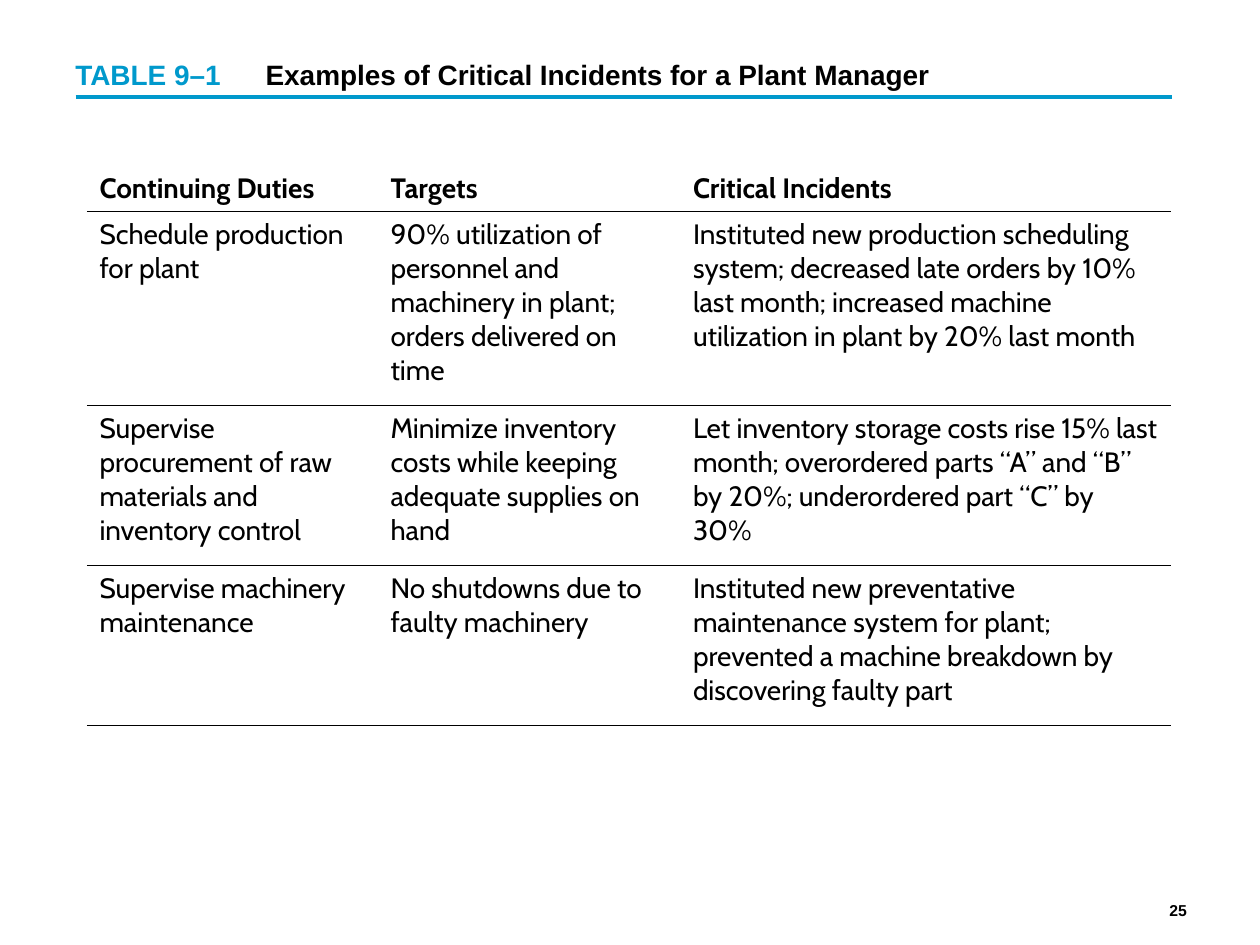
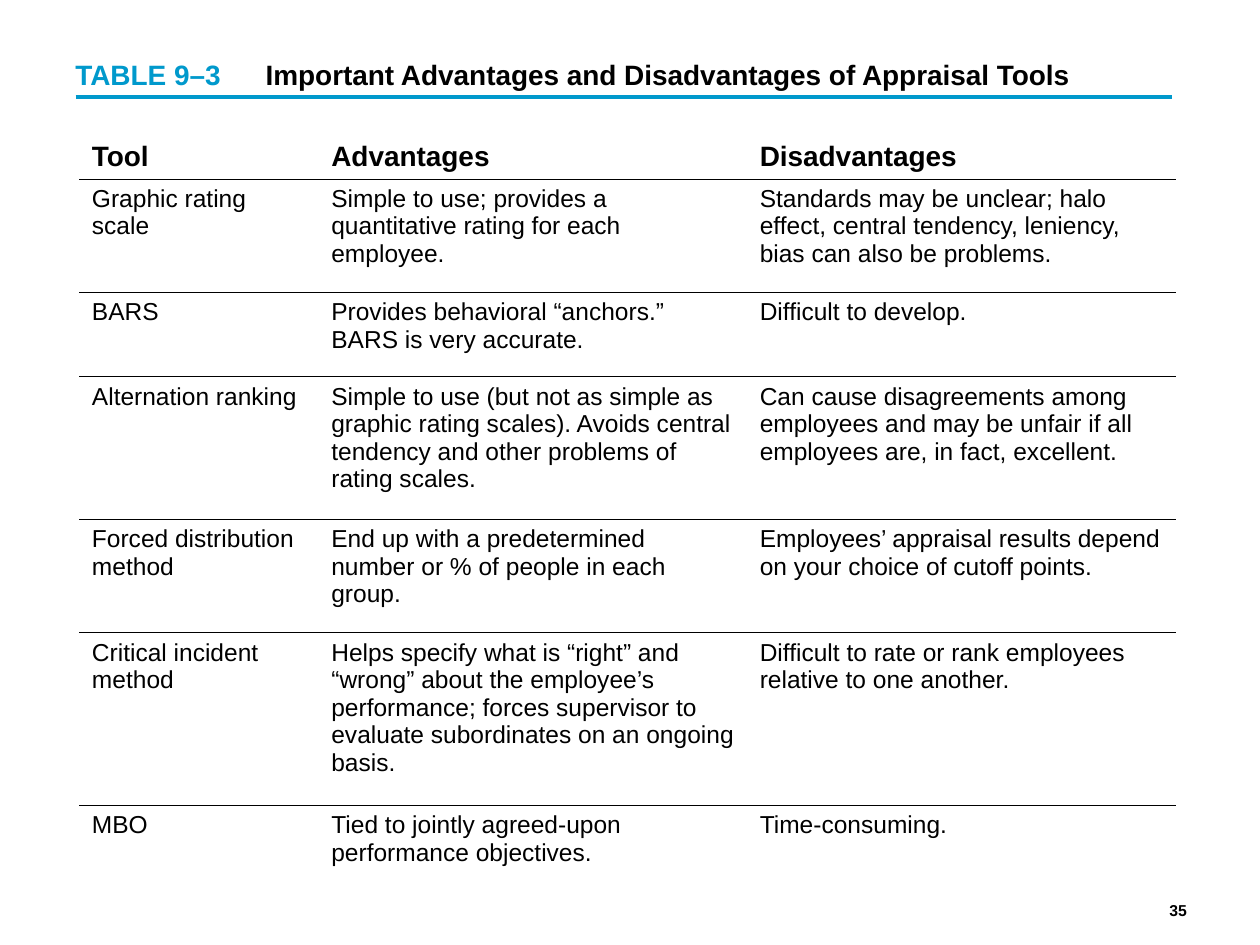
import pptx
import pptx.util
import pptx.dml.color
import pptx.enum.shapes
import pptx.enum.text
import pptx.oxml.ns
import lxml.etree

Inches = pptx.util.Inches
Pt = pptx.util.Pt
ANCHOR = pptx.enum.text.MSO_ANCHOR


def color(value):
    return pptx.dml.color.RGBColor.from_string(value)


def add_element(parent, tag, **attributes):
    return lxml.etree.SubElement(parent, pptx.oxml.ns.qn(tag), attributes)


def apply_format(target, values):
    for name, value in values.items():
        setattr(target, name, value)


class TableDeck:
    ACCENT = "0099CC"
    INK = "000000"
    TITLE_FONT = {"name": "Arial", "size": Pt(16), "bold": True}
    NUMBER_FONT = {"name": "Arial", "size": Pt(9), "bold": True}
    RULE_WIDTH = Pt(2.25)
    BORDER_WIDTH = Pt(0.45)
    TITLE_INDENT = Inches(1.51)

    def __init__(self):
        self.presentation = pptx.Presentation()
        self.presentation.slide_width = Inches(10)
        self.presentation.slide_height = Inches(7.5)
        self.slide = None

    def start_slide(self, label, title, number):
        self.slide = self.presentation.slides.add_slide(self.presentation.slide_layouts[6])
        self.add_title(label, title)
        self.add_title_rule()
        self.add_number(number)

    def add_text_box(self, left, top, width, height, frame_format):
        shape = self.slide.shapes.add_textbox(Inches(left), Inches(top), Inches(width), Inches(height))
        apply_format(shape.text_frame, {"word_wrap": True, **frame_format})
        return shape.text_frame.paragraphs[0]

    def add_run(self, paragraph, text, font_format, ink=INK):
        run = paragraph.add_run()
        run.text = text
        apply_format(run.font, font_format)
        run.font.color.rgb = color(ink)

    def add_title(self, label, title):
        paragraph = self.add_text_box(0.5, 0.41, 8.98, 0.37, {
            "auto_size": pptx.enum.text.MSO_AUTO_SIZE.SHAPE_TO_FIT_TEXT})
        self.add_run(paragraph, label + "\t", self.TITLE_FONT, self.ACCENT)
        self.add_run(paragraph, title, self.TITLE_FONT)
        properties = paragraph._p.get_or_add_pPr()
        properties.set("marL", str(self.TITLE_INDENT))
        properties.set("indent", str(-self.TITLE_INDENT))
        tab_list = add_element(properties, "a:tabLst")
        for position in (0, 2):
            add_element(tab_list, "a:tab", pos=str(Inches(position)), algn="l")

    def add_title_rule(self):
        connector = self.slide.shapes.add_connector(
            pptx.enum.shapes.MSO_CONNECTOR.STRAIGHT,
            Inches(0.6), Inches(0.77), Inches(9.3), Inches(0.77))
        connector.line.color.rgb = color(self.ACCENT)
        connector.line.width = self.RULE_WIDTH
        add_element(connector._element.spPr, "a:effectLst")

    def add_number(self, number):
        paragraph = self.add_text_box(7, 6.95, 2.42, 0.4, {
            "vertical_anchor": ANCHOR.BOTTOM, "margin_left": 0, "margin_right": 0})
        paragraph.alignment = pptx.enum.text.PP_ALIGN.RIGHT
        self.add_run(paragraph, str(number), self.NUMBER_FONT)

    def set_borders(self, cell, visible_sides):
        properties = cell._tc.get_or_add_tcPr()
        for side in "LRTB":
            line = add_element(properties, f"a:ln{side}", w=str(self.BORDER_WIDTH))
            if side in visible_sides:
                fill = add_element(line, "a:solidFill")
                add_element(fill, "a:srgbClr", val=self.INK)
            else:
                add_element(line, "a:noFill")

    def fill_cell(self, cell, text, font_format, space_before, anchor, sides):
        self.set_borders(cell, sides)
        cell.fill.background()
        cell.vertical_anchor = anchor
        cell.text = text
        for paragraph in cell.text_frame.paragraphs:
            paragraph.space_before = Pt(space_before)
            for run in paragraph.runs:
                apply_format(run.font, font_format)
                run.font.color.rgb = color(self.INK)

    def add_table(self, left, top, widths, heights, rows, font, body_size,
                  space_before=0, closed=True):
        shape = self.slide.shapes.add_table(
            len(rows), len(widths), Inches(left), Inches(top),
            Inches(sum(widths)), Inches(sum(heights)))
        table = shape.table
        apply_format(table, {"first_row": False, "horz_banding": False})
        for column, width in zip(table.columns, widths):
            column.width = Inches(width)
        for index, (row, height, texts) in enumerate(zip(table.rows, heights, rows)):
            row.height = Inches(height)
            header = index == 0
            last = index == len(rows) - 1
            sides = ("" if header else "T") + ("B" if closed or not last else "")
            font_format = {"name": font, "size": Pt(16 if header else body_size), "bold": header}
            anchor = ANCHOR.BOTTOM if header else ANCHOR.TOP
            for cell, text in zip(row.cells, texts):
                self.fill_cell(cell, text, font_format, space_before, anchor, sides)


INCIDENTS = [
    ("Continuing Duties", "Targets", "Critical Incidents"),
    ("Schedule production for plant",
     "90% utilization of personnel and machinery in plant; orders delivered on time",
     "Instituted new production scheduling system; decreased late orders by 10% last month; "
     "increased machine utilization in plant by 20% last month"),
    ("Supervise procurement of raw materials and inventory control",
     "Minimize inventory costs while keeping adequate supplies on hand",
     "Let inventory storage costs rise 15% last month; overordered parts “A” and “B” by 20%; "
     "underordered part “C” by 30%"),
    ("Supervise machinery maintenance",
     "No shutdowns due to faulty machinery",
     "Instituted new preventative maintenance system for plant; "
     "prevented a machine breakdown by discovering faulty part"),
]

APPRAISAL_TOOLS = [
    ("Tool", "Advantages", "Disadvantages"),
    ("Graphic rating scale",
     "Simple to use; provides a quantitative rating for each employee.",
     "Standards may be unclear; halo effect, central tendency, leniency, "
     "bias can also be problems."),
    ("BARS",
     "Provides behavioral “anchors.”\nBARS is very accurate.",
     "Difficult to develop."),
    ("Alternation ranking",
     "Simple to use (but not as simple as graphic rating scales). "
     "Avoids central tendency and other problems of rating scales.",
     "Can cause disagreements among employees and may be unfair "
     "if all employees are, in fact, excellent."),
    ("Forced distribution method",
     "End up with a predetermined number or % of people in each group.",
     "Employees’ appraisal results depend on your choice of cutoff points."),
    ("Critical incident method",
     "Helps specify what is “right” and “wrong” about the employee’s performance; "
     "forces supervisor to evaluate subordinates on an ongoing basis.",
     "Difficult to rate or rank employees relative to one another."),
    ("MBO",
     "Tied to jointly agreed-upon performance objectives.",
     "Time-consuming."),
]


def main():
    deck = TableDeck()
    deck.start_slide("TABLE 9–1", "Examples of Critical Incidents for a Plant Manager", 25)
    deck.add_table(0.69, 1.21, [2.31, 2.4, 3.89], [0.47, 1.54, 1.27, 1.27],
                   INCIDENTS, "Cabin", 16, space_before=4)
    deck.start_slide("TABLE 9–3", "Important Advantages and Disadvantages of Appraisal Tools", 35)
    deck.add_table(0.63, 0.95, [1.9, 3.4, 3.4], [0.47, 0.9, 0.67, 1.13, 0.9, 1.37, 0.67],
                   APPRAISAL_TOOLS, "Arial", 14, closed=False)
    deck.presentation.save("out.pptx")


if __name__ == "__main__":
    main()
